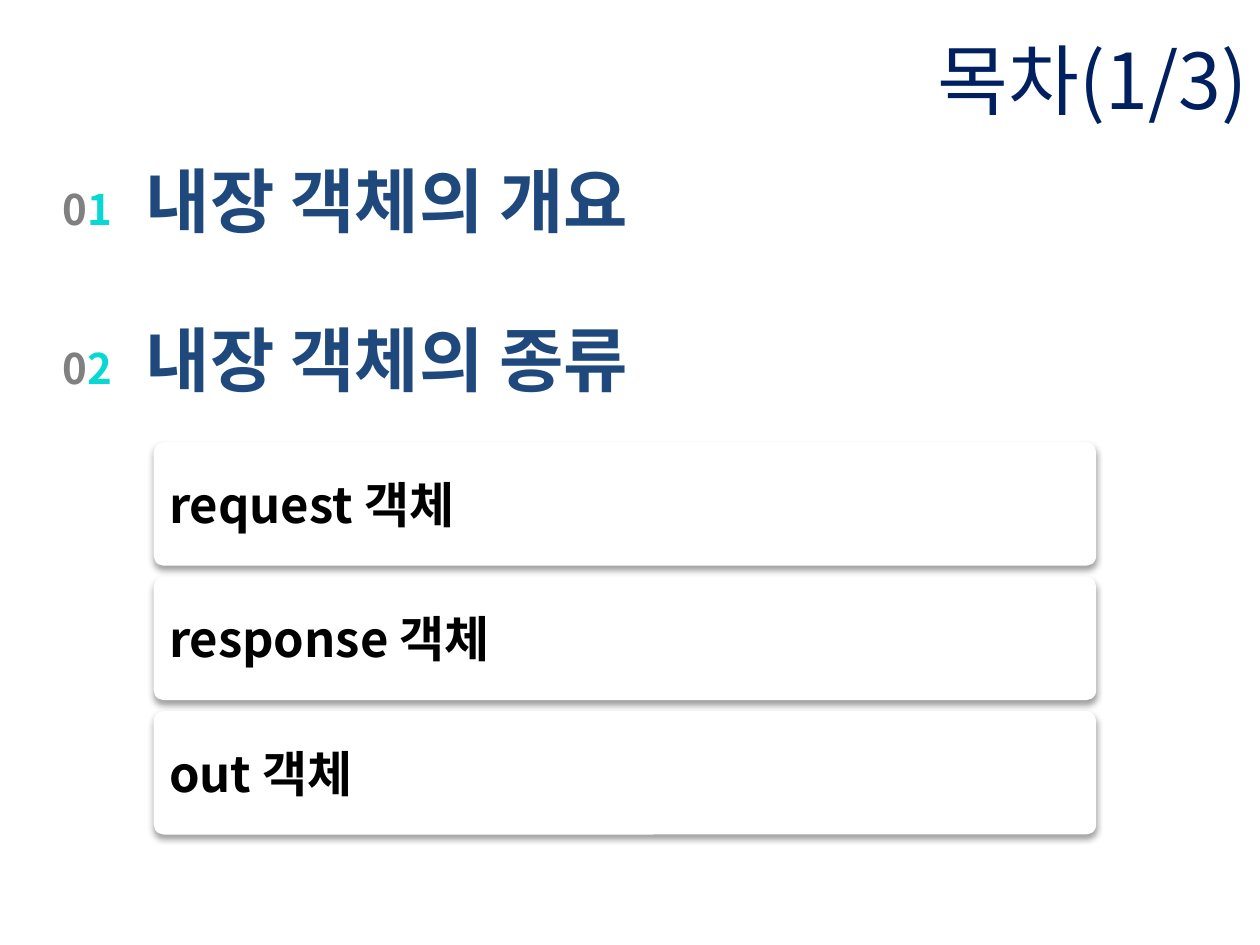
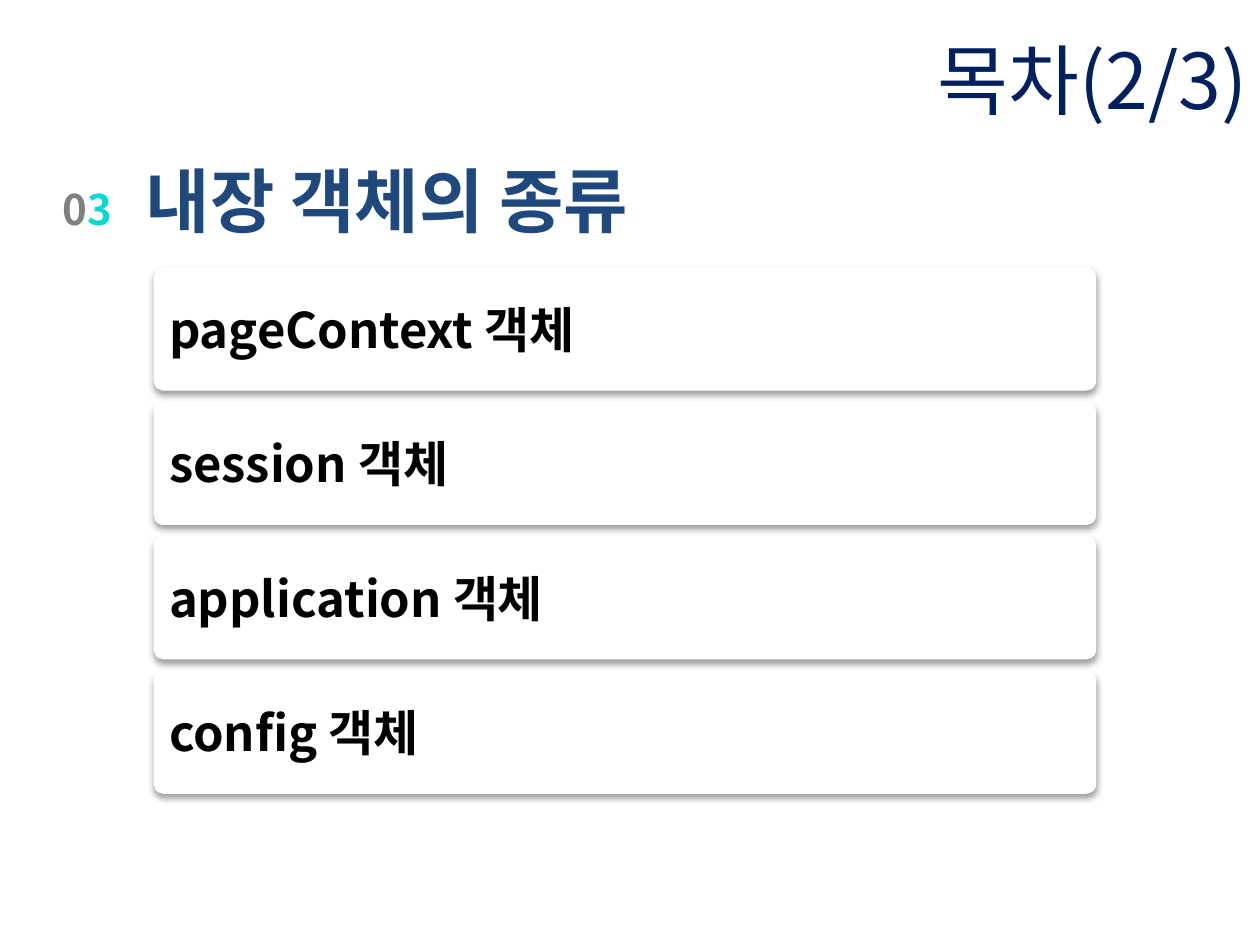
"""Build the contents slides on built-in objects."""
from dataclasses import dataclass

from lxml import etree
from pptx import Presentation
from pptx import util as u
from pptx.dml.color import RGBColor
from pptx.enum import shapes, text
from pptx.oxml import ns

PX = 3048
SLIDE_WIDTH, SLIDE_HEIGHT = 3000, 2250
ROW_PITCH = 320
NUMBER_DROP = 54


@dataclass(frozen=True)
class Theme:
    font: str = "Noto Sans CJK KR"
    title: str = "002060"
    heading: str = "1F497D"
    zero: str = "808080"
    digit: str = "07D8D3"
    ink: str = "000000"
    card: str = "FFFFFF"
    title_size: int = 44
    heading_size: int = 40
    heading_line: int = 46
    card_size: int = 28
    number_size: int = 24


class ContentsDeck:
    def __init__(self, theme):
        self.theme = theme
        self.presentation = Presentation()
        self.presentation.slide_width = SLIDE_WIDTH * PX
        self.presentation.slide_height = SLIDE_HEIGHT * PX
        self.slide = None

    def fill_text(self, shape, runs, size, bold=True, frame=None, paragraph=None):
        for name, value in (frame or {}).items():
            setattr(shape.text_frame, name, value)
        line = shape.text_frame.paragraphs[0]
        for name, value in (paragraph or {}).items():
            setattr(line, name, value)
        for words, color in runs:
            run = line.add_run()
            run.text = words
            formats = {"name": self.theme.font, "size": u.Pt(size), "bold": bold}
            for name, value in formats.items():
                setattr(run.font, name, value)
            run.font.color.rgb = RGBColor.from_string(color)
            properties = run._r.get_or_add_rPr()
            etree.SubElement(properties, ns.qn("a:ea"), typeface=self.theme.font)

    def text_box(self, box, *args, **formats):
        shape = self.slide.shapes.add_textbox(*(length * PX for length in box))
        self.fill_text(shape, *args, **formats)

    def add_slide(self, title):
        self.slide = self.presentation.slides.add_slide(self.presentation.slide_layouts[6])
        self.text_box(
            (0, 0, SLIDE_WIDTH, 375), [(title, self.theme.title)], self.theme.title_size,
            bold=False,
            frame={"word_wrap": True, "vertical_anchor": text.MSO_ANCHOR.MIDDLE},
            paragraph={"alignment": text.PP_ALIGN.RIGHT})

    def heading(self, top, digit, words):
        grow = text.MSO_AUTO_SIZE.SHAPE_TO_FIT_TEXT
        self.text_box(
            (318, top, 1359, 225), [(words, self.theme.heading)], self.theme.heading_size,
            frame={"word_wrap": False, "auto_size": grow},
            paragraph={"line_spacing": u.Pt(self.theme.heading_line)})
        self.text_box(
            (102, top + NUMBER_DROP, 213, 150),
            [("0", self.theme.zero), (digit, self.theme.digit)], self.theme.number_size,
            frame={"word_wrap": True, "auto_size": grow},
            paragraph={"alignment": text.PP_ALIGN.CENTER})

    def card(self, top, words):
        shape = self.slide.shapes.add_shape(
            shapes.MSO_SHAPE.ROUNDED_RECTANGLE,
            *(length * PX for length in (366, top, 2244, 294)))
        shape.adjustments[0] = 0.08
        shape.fill.solid()
        shape.fill.fore_color.rgb = RGBColor.from_string(self.theme.card)
        shape.line.fill.background()
        self.soft_shadow(shape)
        self.fill_text(
            shape, [(words, self.theme.ink)], self.theme.card_size,
            frame={"word_wrap": True, "vertical_anchor": text.MSO_ANCHOR.MIDDLE},
            paragraph={"alignment": text.PP_ALIGN.JUSTIFY})

    def soft_shadow(self, shape):
        shape.shadow.inherit = False
        effects = shape._element.spPr.find(ns.qn("a:effectLst"))
        shadow = etree.SubElement(
            effects, ns.qn("a:outerShdw"), blurRad=str(int(u.Pt(3.5))),
            dist=str(int(u.Pt(2.2))), dir="5400000", rotWithShape="0")
        color = etree.SubElement(shadow, ns.qn("a:srgbClr"), val=self.theme.ink)
        etree.SubElement(color, ns.qn("a:alpha"), val="36000")

    def cards(self, top, names):
        for index, name in enumerate(names):
            self.card(top + index * ROW_PITCH, f"{name} 객체")


def main():
    deck = ContentsDeck(Theme())

    deck.add_slide("목차(1/3)")
    deck.cards(1053, ["request", "response", "out"])
    deck.heading(369, "1", "내장 객체의 개요")
    deck.heading(747, "2", "내장 객체의 종류")

    deck.add_slide("목차(2/3)")
    deck.cards(636, ["pageContext", "session", "application", "config"])
    deck.heading(369, "3", "내장 객체의 종류")

    deck.presentation.save("out.pptx")


if __name__ == "__main__":
    main()
